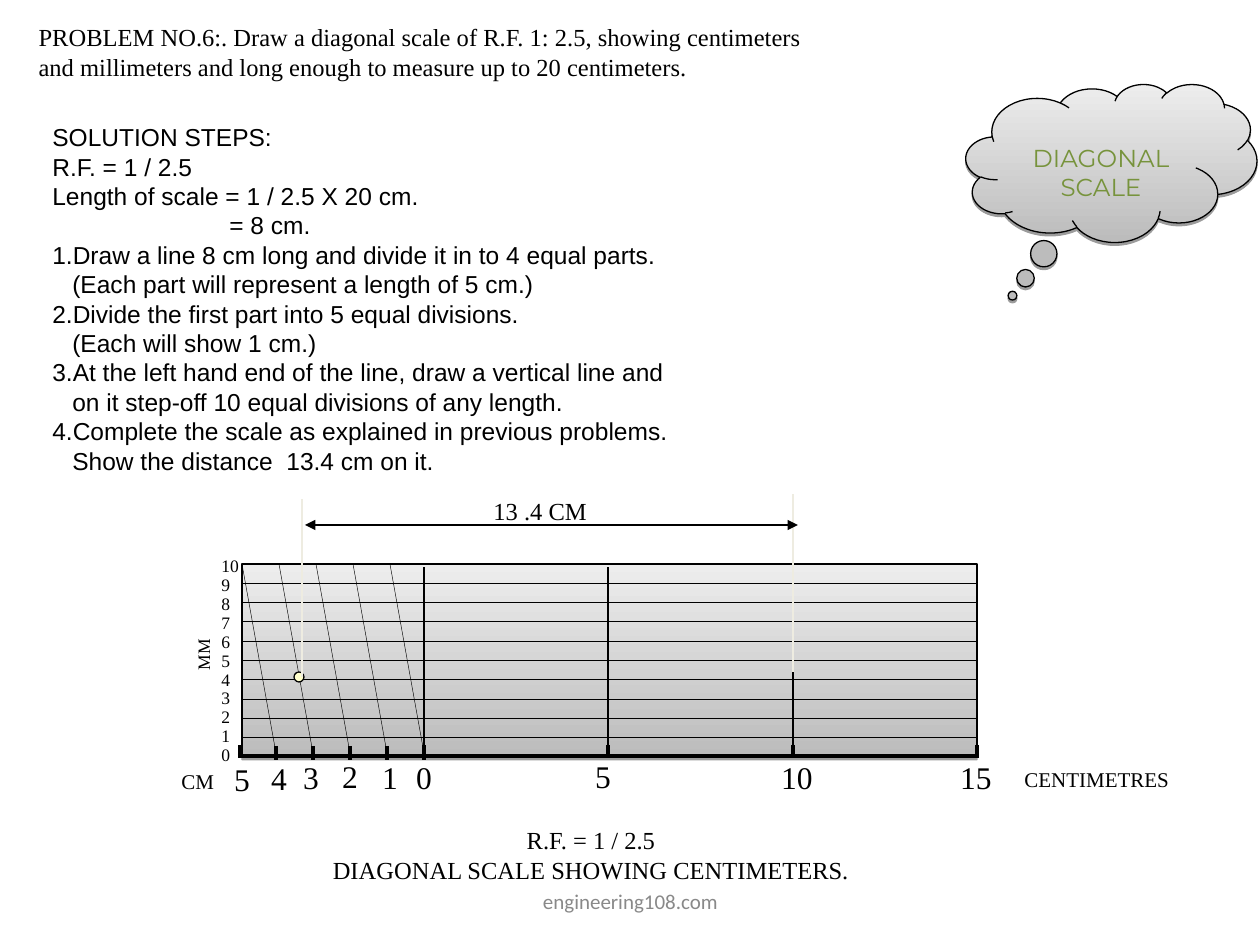
from dataclasses import dataclass

from lxml.etree import SubElement
from pptx import Presentation
from pptx.dml.color import RGBColor
from pptx.enum.shapes import MSO_CONNECTOR, MSO_SHAPE
from pptx.enum.text import MSO_ANCHOR, MSO_AUTO_SIZE, PP_ALIGN
from pptx.oxml.ns import qn
from pptx.util import Emu, Pt


@dataclass(frozen=True)
class Theme:
    ink: str = "000000"
    light: str = "EDEDED"
    dark: str = "BCBCBC"
    guide: str = "EEECE1"
    marker: str = "FFFFCC"
    callout: str = "77933C"
    footer: str = "898989"
    serif: str = "Times New Roman"
    sans: str = "Arial"
    callout_font: str = "Montserrat"
    footer_font: str = "Calibri"
    small: int = 10
    label: int = 12
    body: int = 14
    number: int = 18
    hair: float = 0.25
    thin: float = 0.75
    medium: float = 1
    thick: float = 2.25


THEME = Theme()
ZERO_X, CM_STEP = 424, 37
TOP_Y, BASE_Y = 564, 756
SOLUTION = [
    ("SOLUTION STEPS:", 0),
    ("R.F. = 1 / 2.5", 0),
    ("Length of scale = 1 / 2.5 X 20 cm.", 0),
    ("= 8 cm.", 177),
    ("1.Draw a line 8 cm long and divide it in to 4 equal parts.", 0),
    ("(Each part will represent a length of 5 cm.)", 20),
    ("2.Divide the first part into 5 equal divisions.", 0),
    ("(Each will show 1 cm.)", 20),
    ("3.At the left hand end of the line, draw a vertical line and", 0),
    ("on it step-off 10 equal divisions of any length.", 20),
    ("4.Complete the scale as explained in previous problems.", 0),
    ("Show the distance  13.4 cm on it.", 20),
]
NUMBERS = [("5", 242, 754), ("4", 279, 753), ("3", 311, 752), ("2", 350, 751),
           ("1", 390, 752), ("0", 424, 752), ("5", 603, 751),
           ("10", 797, 752), ("15", 976, 752)]


def px(length):
    return Emu(round(length * 914400 / 126))


def color(value):
    return RGBColor.from_string(value)


def write(shape, lines, size, font=THEME.serif, ink=THEME.ink,
          align=PP_ALIGN.LEFT, spacing=1.0, anchor=MSO_ANCHOR.TOP, wrap=False):
    frame = shape.text_frame
    frame.word_wrap = wrap
    frame.vertical_anchor = anchor
    frame.auto_size = MSO_AUTO_SIZE.NONE
    for index, (text, indent) in enumerate(lines):
        paragraph = frame.add_paragraph() if index else frame.paragraphs[0]
        paragraph.alignment = align
        paragraph.line_spacing = spacing
        paragraph.space_before = Pt(0)
        if indent:
            paragraph._p.get_or_add_pPr().set("marL", str(px(indent)))
        run = paragraph.add_run()
        run.text = text
        run.font.name = font
        run.font.size = Pt(size)
        run.font.color.rgb = color(ink)


def add_label(slide, box, lines, size, **style):
    shape = slide.shapes.add_textbox(*map(px, box))
    write(shape, [(line, 0) for line in lines], size, **style)
    return shape


def add_line(slide, start, end, width, ink=THEME.ink, arrows=False):
    line = slide.shapes.add_connector(
        MSO_CONNECTOR.STRAIGHT, *map(px, start + end))
    line.line.color.rgb = color(ink)
    line.line.width = Pt(width)
    if arrows:
        for tag in ("a:headEnd", "a:tailEnd"):
            SubElement(line.line._get_or_add_ln(), qn(tag), type="triangle")
    SubElement(line._element.spPr, qn("a:effectLst"))


def add_outlined(slide, kind, box):
    shape = slide.shapes.add_shape(kind, *map(px, box))
    shape.shadow.inherit = False
    shape.line.color.rgb = color(THEME.ink)
    shape.line.width = Pt(THEME.thin)
    return shape


def add_shaded(slide, kind, box):
    shape = add_outlined(slide, kind, box)
    shape.fill.gradient()
    shape.fill.gradient_angle = 90
    for stop, position, shade in zip(shape.fill.gradient_stops, (0, 1),
                                     (THEME.dark, THEME.light)):
        stop.position = position
        stop.color.rgb = color(shade)
    effects = shape._element.spPr.find(qn("a:effectLst"))
    shadow = SubElement(effects, qn("a:outerShdw"), blurRad="0",
                        dist=str(Pt(1.6)), dir="5400000", rotWithShape="0")
    black = SubElement(shadow, qn("a:srgbClr"), val=THEME.ink)
    SubElement(black, qn("a:alpha"), val="38000")
    return shape


def add_scale(slide):
    add_shaded(slide, MSO_SHAPE.RECTANGLE, (242, TOP_Y, 735, 193))
    add_line(slide, (238, BASE_Y), (976, BASE_Y), THEME.thick)
    main_marks = [ZERO_X + 369 * part // 2 for part in range(4)]
    for step in range(5):
        x = ZERO_X - CM_STEP * step
        add_line(slide, (x, 746), (x, 760), THEME.thick)
    for x in [240] + main_marks:
        add_line(slide, (x, 745), (x, 758), THEME.thick)
    for x in main_marks:
        add_line(slide, (x, 567), (x, 758), THEME.medium)
    for step in range(1, 10):
        y = BASE_Y - 193 * step // 10
        add_line(slide, (243, y), (977, y), THEME.hair)
    for step in range(5):
        x = 242 + CM_STEP * step
        add_line(slide, (x, TOP_Y), (x + 34, 753), THEME.hair)


def add_scale_labels(slide):
    add_label(slide, (209, 551, 43, 222), map(str, range(10, -1, -1)),
              THEME.small, spacing=0.9)
    add_label(slide, (1012, 760, 170, 38), ["CENTIMETRES"], THEME.label)
    add_label(slide, (176, 638, 55, 34), ["MM"], THEME.small).rotation = 270
    add_label(slide, (169, 762, 58, 38), ["CM"], THEME.label)
    add_label(slide, (320, 819, 542, 72),
              ["R.F. = 1 / 2.5", "DIAGONAL SCALE SHOWING CENTIMETERS."],
              THEME.body, align=PP_ALIGN.CENTER)
    for text, center, top in NUMBERS:
        add_label(slide, (center - 32, top, 64, 50), [text], THEME.number,
                  align=PP_ALIGN.CENTER)


def add_measurement(slide):
    marker = add_outlined(slide, MSO_SHAPE.OVAL, (294, 672, 10, 10))
    marker.fill.solid()
    marker.fill.fore_color.rgb = color(THEME.marker)
    for x, bottom in ((302, 677), (793, 672)):
        add_line(slide, (x, bottom), (x, bottom - 178), THEME.thin, THEME.guide)
    add_line(slide, (305, 525), (798, 525), THEME.thin, arrows=True)
    add_label(slide, (481, 490, 118, 43), ["13 .4 CM"], THEME.body)


def add_callout(slide):
    cloud = add_shaded(slide, MSO_SHAPE.CLOUD_CALLOUT, (966, 84, 291, 158))
    cloud.adjustments[0] = -0.34
    cloud.adjustments[1] = 0.84
    cloud.text_frame.margin_top = px(35)
    write(cloud, [("DIAGONAL", 0), ("SCALE", 0)], THEME.body,
          THEME.callout_font, THEME.callout, PP_ALIGN.CENTER, wrap=True)


def add_title(slide):
    title = slide.shapes.title
    title.left, title.top, title.width, title.height = map(px, (26, 16, 796, 72))
    write(title, [
        ("PROBLEM NO.6:. Draw a diagonal scale of R.F. 1: 2.5, showing centimeters", 0),
        ("and millimeters and long enough to measure up to 20 centimeters.", 0),
    ], THEME.body)


def main():
    presentation = Presentation()
    presentation.slide_width, presentation.slide_height = px(1260), px(945)
    slide = presentation.slides.add_slide(presentation.slide_layouts[5])
    add_title(slide)
    add_scale(slide)
    add_scale_labels(slide)
    solution = slide.shapes.add_textbox(*map(px, (40, 116, 644, 365)))
    write(solution, SOLUTION, THEME.body, THEME.sans, align=PP_ALIGN.JUSTIFY)
    add_measurement(slide)
    add_callout(slide)
    add_label(slide, (431, 876, 399, 50), ["engineering108.com"], THEME.label,
              font=THEME.footer_font, ink=THEME.footer, align=PP_ALIGN.CENTER,
              anchor=MSO_ANCHOR.MIDDLE, wrap=True)
    presentation.save("out.pptx")


if __name__ == "__main__":
    main()
